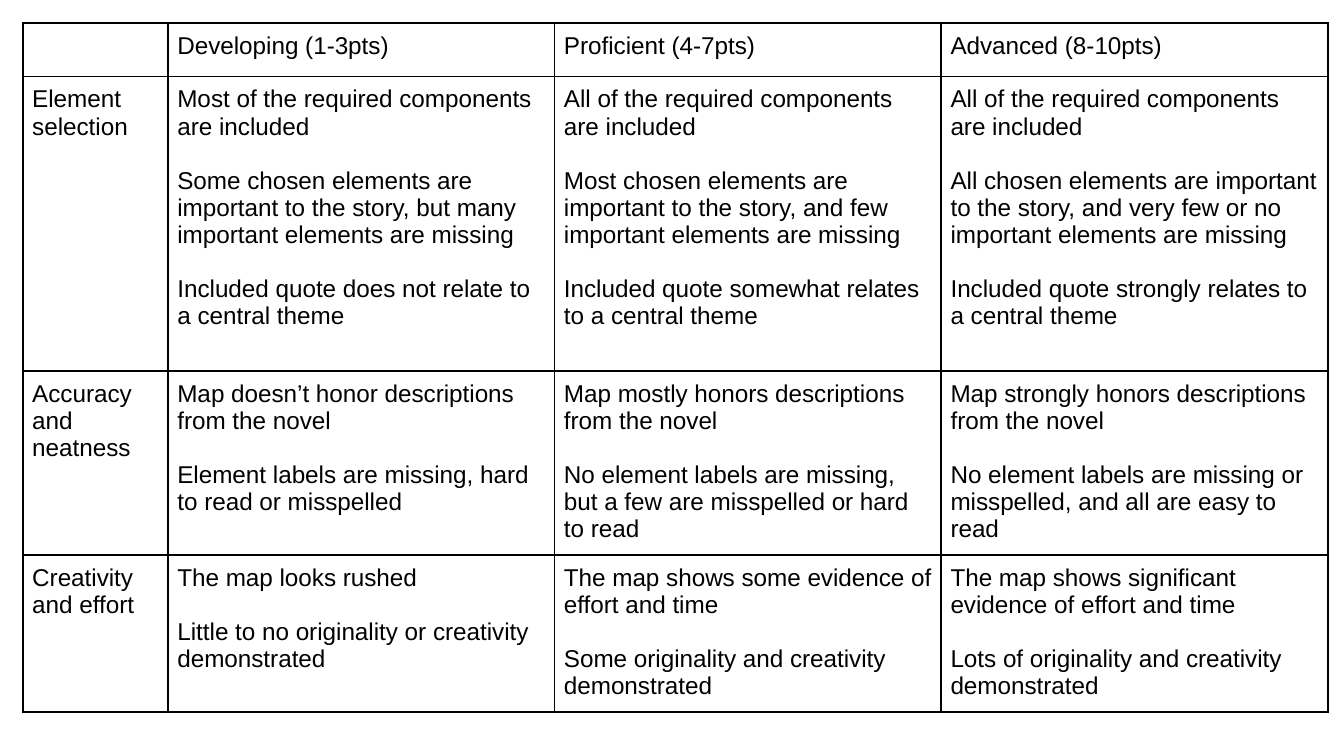
from lxml import etree
from pptx import Presentation
from pptx import util as u
from pptx.dml.color import RGBColor
from pptx.enum import text
from pptx.oxml import ns

BLACK = RGBColor(0x00, 0x00, 0x00)
FONT = "Arial"
SIZE = u.Pt(13)
LINE_GAP = u.Pt(14.5)
INSET = u.Inches(0.07)
BORDER = u.Pt(1)

LABEL_WIDTH = 1.08
ROW_HEIGHTS = [0.4, 2.19, 1.37, 1.17]

# Each cell is a list of paragraphs
RUBRIC = [
    [[], ["Developing (1-3pts)"], ["Proficient (4-7pts)"], ["Advanced (8-10pts)"]],
    [
        ["Element selection"],
        ["Most of the required components are included",
         "Some chosen elements are important to the story, but many important elements are missing",
         "Included quote does not relate to a central theme"],
        ["All of the required components are included",
         "Most chosen elements are important to the story, and few important elements are missing",
         "Included quote somewhat relates to a central theme"],
        ["All of the required components are included",
         "All chosen elements are important to the story, and very few or no important elements are missing",
         "Included quote strongly relates to a central theme"],
    ],
    [
        ["Accuracy and neatness"],
        ["Map doesn’t honor descriptions from the novel",
         "Element labels are missing, hard to read or misspelled"],
        ["Map mostly honors descriptions from the novel",
         "No element labels are missing, but a few are misspelled or hard to read"],
        ["Map strongly honors descriptions from the novel",
         "No element labels are missing or misspelled, and all are easy to read"],
    ],
    [
        ["Creativity and effort"],
        ["The map looks rushed",
         "Little to no originality or creativity demonstrated"],
        ["The map shows some evidence of effort and time",
         "Some originality and creativity demonstrated"],
        ["The map shows significant evidence of effort and time",
         "Lots of originality and creativity demonstrated"],
    ],
]


def add_borders(cell):
    """Draw a thin black line on all four sides; must precede the cell's fill."""
    properties = cell._tc.get_or_add_tcPr()
    for side in ("lnL", "lnR", "lnT", "lnB"):
        line = etree.SubElement(properties, ns.qn(f"a:{side}"), w=str(BORDER))
        fill = etree.SubElement(line, ns.qn("a:solidFill"))
        etree.SubElement(fill, ns.qn("a:srgbClr"), val=str(BLACK))


def fill_cell(cell, statements):
    add_borders(cell)
    cell.fill.background()
    cell.margin_left = cell.margin_right = INSET
    cell.margin_top = cell.margin_bottom = INSET
    cell.vertical_anchor = text.MSO_ANCHOR.TOP

    frame = cell.text_frame
    if not statements:
        # Keeps the empty cell from stretching its row
        etree.SubElement(frame.paragraphs[0]._p, ns.qn("a:endParaRPr"),
                         sz=str(SIZE.centipoints))
    for index, statement in enumerate(statements):
        para = frame.add_paragraph() if index else frame.paragraphs[0]
        para.alignment = text.PP_ALIGN.LEFT
        para.space_before = LINE_GAP if index else u.Pt(0)
        span = para.add_run()
        span.text = statement
        span.font.name = FONT
        span.font.size = SIZE
        span.font.bold = False
        span.font.color.rgb = BLACK


def add_rubric(page, left, top, width, height):
    frame = page.shapes.add_table(
        len(RUBRIC), len(RUBRIC[0]),
        u.Inches(left), u.Inches(top), u.Inches(width), u.Inches(height))
    table = frame.table
    table.first_row = table.horz_banding = False

    # One narrow label column, then equal score columns
    score_width = (width - LABEL_WIDTH) / (len(RUBRIC[0]) - 1)
    for index, column in enumerate(table.columns):
        column.width = u.Inches(score_width if index else LABEL_WIDTH)

    for row, row_height, contents in zip(table.rows, ROW_HEIGHTS, RUBRIC):
        row.height = u.Inches(row_height)
        for cell, statements in zip(row.cells, contents):
            fill_cell(cell, statements)


def main():
    deck = Presentation()
    # Widescreen, 16:9
    deck.slide_width = u.Inches(10)
    deck.slide_height = deck.slide_width * 9 // 16
    page = deck.slides.add_slide(deck.slide_layouts[6])
    add_rubric(page, 0.17, 0.17, 9.71, sum(ROW_HEIGHTS))
    deck.save("out.pptx")


if __name__ == "__main__":
    main()
